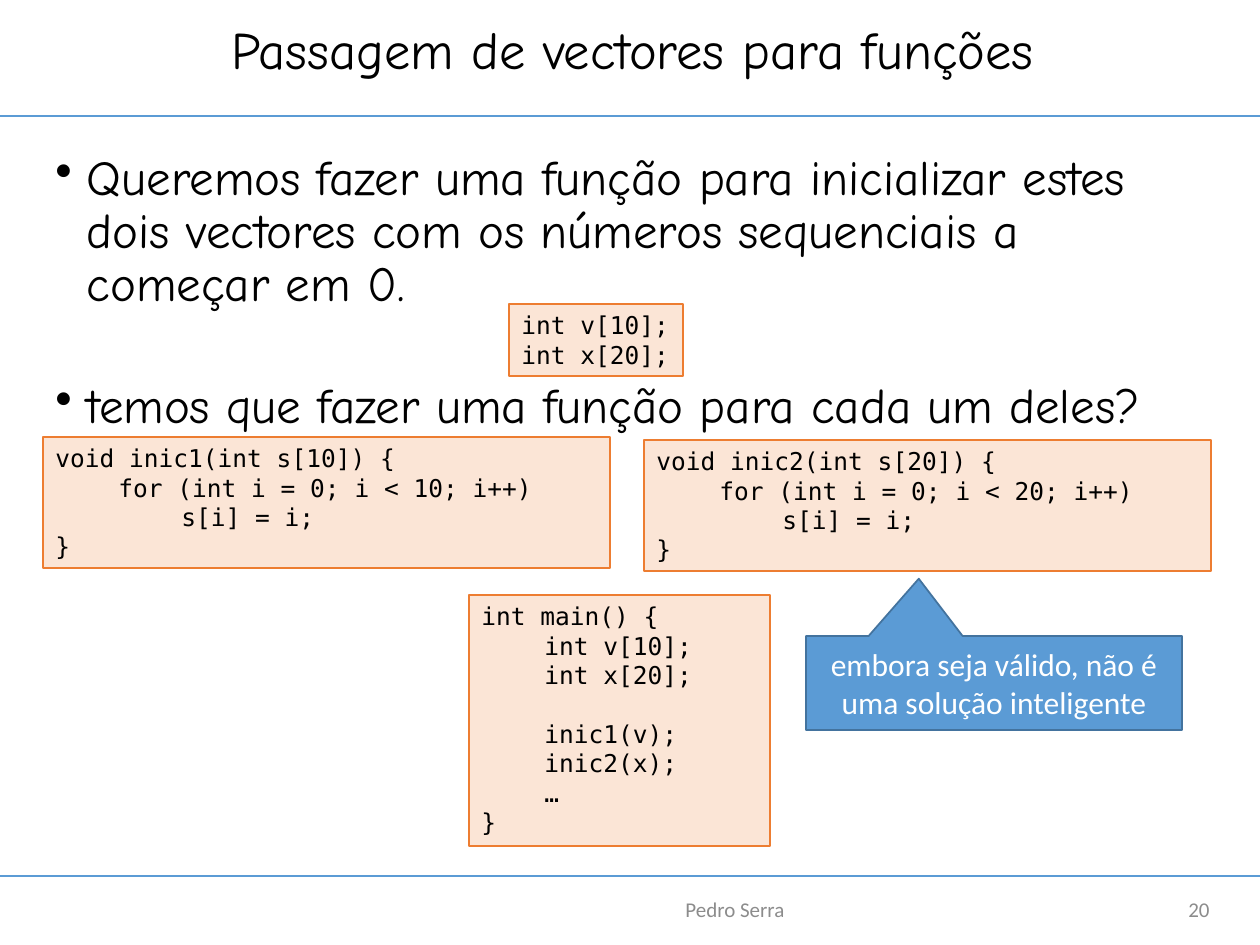
import pptx
import pptx.dml.color
import pptx.enum.shapes
import pptx.enum.text
import pptx.oxml.ns
import pptx.util
from lxml import etree

PX = 914400 / 126
SHAPES = pptx.enum.shapes.MSO_SHAPE
ALIGN = pptx.enum.text.PP_ALIGN
ANCHOR = pptx.enum.text.MSO_ANCHOR
AUTO_SIZE = pptx.enum.text.MSO_AUTO_SIZE

HEADING_FONT = "Comic Neue"
CODE_FONT = "DejaVu Sans Mono"
PLAIN_FONT = "Calibri"
BLACK, WHITE, GRAY = "000000", "FFFFFF", "8C8C8C"
BLUE, DARK_BLUE = "5B9BD5", "43739E"
PEACH, ORANGE = "FBE5D6", "ED7D31"


def emu(px):
    return pptx.util.Emu(round(px * PX))


def rgb(color):
    return pptx.dml.color.RGBColor.from_string(color)


def add_element(parent, tag, **attributes):
    return etree.SubElement(parent, pptx.oxml.ns.qn(tag), **attributes)


class LectureSlide:
    def __init__(self, presentation):
        self.slide = presentation.slides.add_slide(presentation.slide_layouts[6])

    def style(self, paragraph, font, size, color, align=ALIGN.LEFT):
        paragraph.alignment = align
        paragraph.font.name = font
        paragraph.font.size = pptx.util.Pt(size)
        paragraph.font.color.rgb = rgb(color)

    def rule(self, y):
        """Draw a horizontal line across the whole slide."""
        line = self.slide.shapes.add_connector(
            pptx.enum.shapes.MSO_CONNECTOR.STRAIGHT, 0, emu(y), emu(1260), emu(y))
        line.line.color.rgb = rgb(BLUE)
        line.line.width = pptx.util.Pt(1.25)
        add_element(line._element.spPr, "a:effectLst")

    def text(self, box, words, font, size, color, align, anchor=ANCHOR.MIDDLE):
        frame = self.slide.shapes.add_textbox(*map(emu, box)).text_frame
        frame.word_wrap = True
        frame.vertical_anchor = anchor
        frame.text = words
        paragraph = frame.paragraphs[0]
        self.style(paragraph, font, size, color, align)
        return paragraph

    def title(self, box, words):
        self.text(box, words, HEADING_FONT, 30, BLACK, ALIGN.CENTER).line_spacing = 0.9

    def bullet(self, box, words):
        paragraph = self.text(box, words, HEADING_FONT, 28, BLACK, ALIGN.LEFT, ANCHOR.TOP)
        paragraph.line_spacing = 0.9
        properties = paragraph._p.get_or_add_pPr()
        indent = pptx.util.Inches(0.25)
        properties.set("marL", str(indent))
        properties.set("indent", str(-indent))
        bullet = etree.Element(pptx.oxml.ns.qn("a:buChar"), char="•")
        properties.find(pptx.oxml.ns.qn("a:defRPr")).addprevious(bullet)

    def filled(self, kind, box, fill, outline, width):
        shape = self.slide.shapes.add_shape(kind, *map(emu, box))
        shape.shadow.inherit = False
        shape.fill.solid()
        shape.fill.fore_color.rgb = rgb(fill)
        shape.line.color.rgb = rgb(outline)
        shape.line.width = pptx.util.Pt(width)
        return shape

    def code(self, box, source):
        frame = self.filled(SHAPES.RECTANGLE, box, PEACH, ORANGE, 0.75).text_frame
        frame.word_wrap = False
        frame.auto_size = AUTO_SIZE.SHAPE_TO_FIT_TEXT
        frame.vertical_anchor = ANCHOR.TOP
        frame.text = source
        for paragraph in frame.paragraphs:
            self.style(paragraph, CODE_FONT, 14, BLACK)
            if not paragraph.runs:
                end = add_element(paragraph._p, "a:endParaRPr", sz="1400")
                add_element(end, "a:latin", typeface=CODE_FONT)

    def callout(self, box, words, tip):
        shape = self.filled(SHAPES.RECTANGULAR_CALLOUT, box, BLUE, DARK_BLUE, 1)
        shape.adjustments[0], shape.adjustments[1] = tip
        frame = shape.text_frame
        frame.word_wrap = True
        frame.vertical_anchor = ANCHOR.MIDDLE
        frame.text = words
        self.style(frame.paragraphs[0], PLAIN_FONT, 18, WHITE, ALIGN.CENTER)


def init_function(name, size):
    return (f"void {name}(int s[{size}]) {{\n"
            f"\tfor (int i = 0; i < {size}; i++)\n"
            "\t\ts[i] = i;\n"
            "}")


def main():
    presentation = pptx.Presentation()
    presentation.slide_width, presentation.slide_height = emu(1260), emu(945)
    page = LectureSlide(presentation)

    for y in (116, 876):
        page.rule(y)
    page.title((43, 0, 1179, 106), "Passagem de vectores para funções")
    page.bullet((43, 147, 1179, 197),
                "Queremos fazer uma função para inicializar estes dois vectores "
                "com os números sequenciais a começar em 0.")
    page.text((1111, 892, 111, 34), "20", PLAIN_FONT, 12, GRAY, ALIGN.RIGHT)
    page.text((370, 892, 730, 34), "Pedro Serra", PLAIN_FONT, 12, GRAY, ALIGN.CENTER)

    page.code((509, 304, 174, 72), "int v[10];\nint x[20];")
    page.bullet((43, 375, 1179, 96), "temos que fazer uma função para cada um deles?")
    page.code((43, 437, 567, 131), init_function("inic1", 10))
    page.code((644, 440, 567, 131), init_function("inic2", 20))
    page.code((469, 595, 301, 251),
              "int main() {\n\tint v[10];\n\tint x[20];\n\n"
              "\tinic1(v);\n\tinic2(x);\n\t…\n}")
    page.callout((806, 636, 376, 94),
                 "embora seja válido, não é uma solução inteligente", (-0.2, -1.11))

    presentation.save("out.pptx")


if __name__ == "__main__":
    main()
